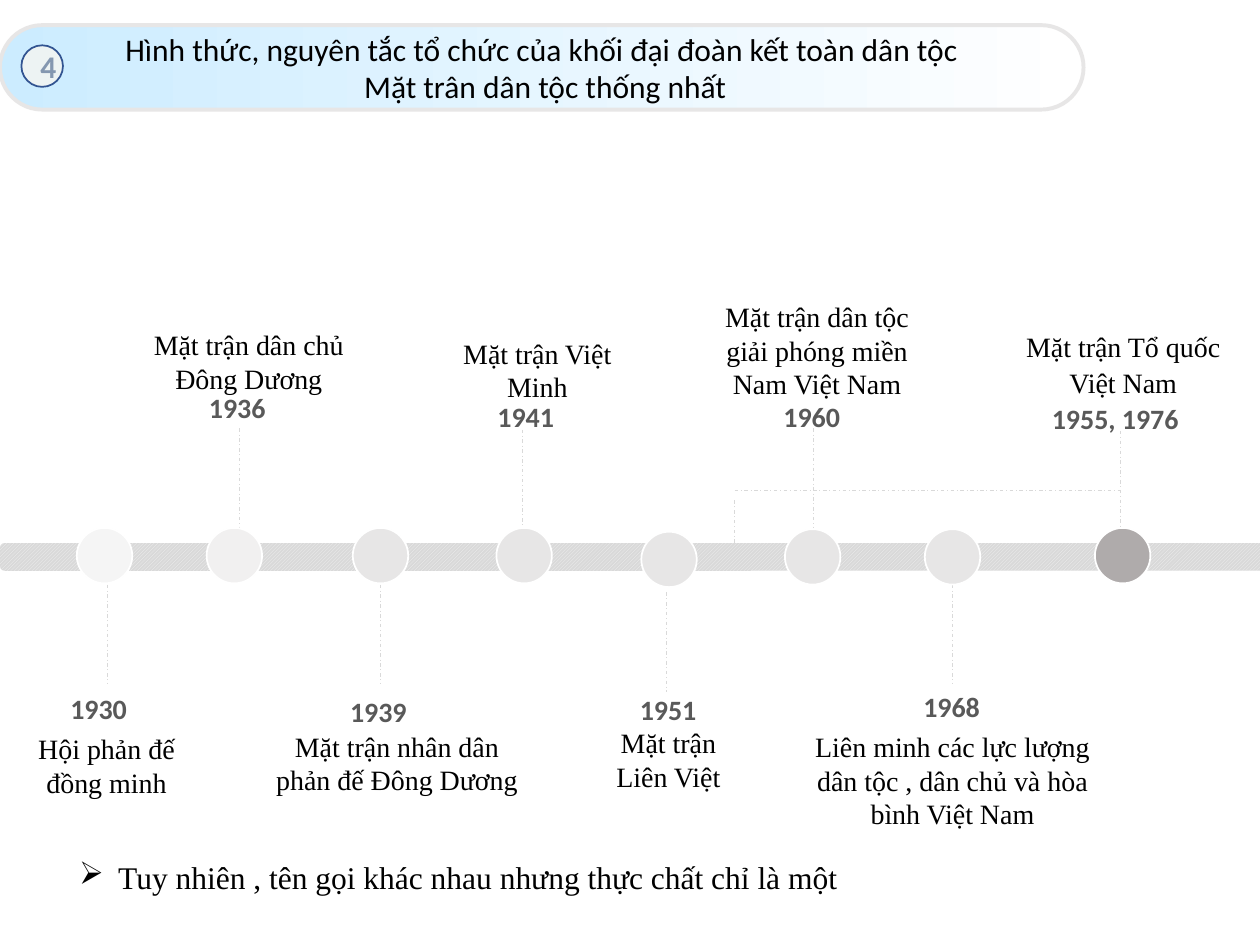
from lxml import etree
from pptx import Presentation
from pptx import util as u
from pptx.dml import color
from pptx.enum import dml, shapes, text
from pptx.oxml import ns

COLS, ROWS = 100, 75
SERIF, SANS = "Times New Roman", "Calibri"


def rgb(code):
    return color.RGBColor.from_string(code)


class Deck:
    black, gray, pale = "000000", "595959", "D9D9D9"

    def __init__(self):
        self.prs = Presentation()
        self.prs.slide_width, self.prs.slide_height = u.Inches(10), u.Inches(7.5)
        self.slide = self.prs.slides.add_slide(self.prs.slide_layouts[6])
        self.shapes = self.slide.shapes

    def box(self, *nums):
        col = self.prs.slide_width / COLS
        row = self.prs.slide_height / ROWS
        return [round(n * (col, row)[i % 2]) for i, n in enumerate(nums)]

    def shape(self, kind, at, fill=None, edge=None, width=1):
        item = self.shapes.add_shape(kind, *self.box(*at))
        item.shadow.inherit = False
        if fill:
            item.fill.solid()
            item.fill.fore_color.rgb = rgb(fill)
        if edge:
            item.line.color.rgb = rgb(edge)
            item.line.width = u.Pt(width)
        else:
            item.line.fill.background()
        return item

    def disc(self, at, fill, edge="FFFFFF"):
        return self.shape(shapes.MSO_SHAPE.OVAL, at, fill, edge)

    def bar(self, at):
        item = self.shape(shapes.MSO_SHAPE.ROUNDED_RECTANGLE, at)
        item.fill.patterned()
        item.fill.pattern = dml.MSO_PATTERN.DARK_UPWARD_DIAGONAL
        item.fill.fore_color.rgb = rgb("F2F2F2")
        item.fill.back_color.rgb = rgb(self.pale)

    def pill(self, at, lines):
        item = self.shape(shapes.MSO_SHAPE.ROUNDED_RECTANGLE, at,
                          edge="E7E6E6", width=2.25)
        item.adjustments[0] = 0.5
        item.fill.gradient()
        item.fill.gradient_angle = 0
        for stop, code, pos in zip(item.fill.gradient_stops,
                                   ("CCECFF", "FFFFFF"), (0, 1)):
            stop.color.rgb, stop.position = rgb(code), pos
        self.put(item, lines, SANS, 18, mid=True)
        item.text_frame.word_wrap = False

    def put(self, item, lines, font, size, code=black, bold=False, mid=False):
        frame = item.text_frame
        frame.word_wrap = True
        frame.text = lines
        if mid:
            frame.vertical_anchor = text.MSO_ANCHOR.MIDDLE
        for para in frame.paragraphs:
            para.alignment = text.PP_ALIGN.CENTER if mid else text.PP_ALIGN.LEFT
            para.font.name, para.font.size = font, u.Pt(size)
            para.font.bold, para.font.color.rgb = bold, rgb(code)
        return frame

    def label(self, at, words, font=SERIF, size=16, code=black, bold=False,
              mid=True):
        item = self.shapes.add_textbox(*self.box(*at))
        frame = self.put(item, words, font, size, code, bold, mid)
        frame.vertical_anchor = text.MSO_ANCHOR.TOP
        return frame.paragraphs[0]

    def bullet(self, at, words):
        props = self.label(at, words, size=18, mid=False)._p.get_or_add_pPr()
        props.set("marL", str(u.Inches(0.31)))
        props.set("indent", str(-u.Inches(0.31)))
        etree.SubElement(props, ns.qn("a:buChar"), char="➢")
        props.append(props.find(ns.qn("a:defRPr")))

    def line(self, *ends):
        item = self.shapes.add_connector(shapes.MSO_CONNECTOR.STRAIGHT,
                                         *self.box(*ends))
        item.line.color.rgb = rgb(self.pale)
        item.line.width = u.Pt(0.5)
        item.line.dash_style = dml.MSO_LINE.DASH_DOT
        etree.SubElement(item._element.spPr, ns.qn("a:effectLst"))


DOTS = [(6.1, 41.9, "F5F5F5"), (16.4, 41.9, "F1F0F0"), (28, 41.9, "E7E6E6"),
        (39.4, 41.9, "E7E6E6"), (50.9, 42.2, "E7E6E6"), (62.3, 42, "E7E6E6"),
        (73.4, 42, "E7E6E6"), (86.9, 41.9, "AFABAB")]
STEMS = [(8.5, 46.4), (19, 34), (30.2, 46.4), (41.5, 34.1),
         (52.9, 47), (64.6, 34), (75.6, 46.4), (88.9, 34.2)]
YEARS = [("1930", 4.6, 54.4), ("1936", 15.6, 30.5), ("1939", 26.8, 54.6),
         ("1941", 38.5, 31.2), ("1951", 49.8, 54.5), ("1960", 61.2, 31.2),
         ("1968", 72.3, 54.2), ("1955, 1976", 82.5, 31.4)]
NAMES = [("Hội phản đế đồng minh", 1.2, 57.6, 14.5, 6.6),
         ("Mặt trận dân chủ Đông Dương", 10.6, 25.5, 18.3, 6.6),
         ("Mặt trận nhân dân phản đế Đông Dương", 20.9, 57.4, 21.2, 6.4),
         ("Mặt trận Việt Minh", 33.5, 26.2, 18.3, 6.4),
         ("Mặt trận Liên Việt", 46.2, 57.1, 13.7, 6.4),
         ("Mặt trận dân tộc giải phóng miền Nam Việt Nam",
          55.7, 23.3, 18.3, 9.1),
         ("Liên minh các lực lượng dân tộc , dân chủ và hòa bình Việt Nam",
          63.6, 57.4, 24, 9.1)]


def main():
    deck = Deck()
    deck.bar((0, 43.1, 117.8, 2.2))
    for x, y in STEMS:
        deck.line(x, y, x, y + 7.9)
    deck.line(58.3, 43.1, 58.3, 39.7)
    deck.line(58.3, 38.9, 88.9, 38.9)
    for x, y, code in DOTS:
        deck.disc((x, y, 4.4, 4.4), code)
    for year, x, y in YEARS:
        wide = 6.7 if len(year) == 4 else 14
        deck.label((x, y, wide, 3.7), year, SANS, code=deck.gray, bold=True,
                   mid=False)
    for name, *at in NAMES:
        deck.label(at, name)
    last = deck.label((80, 25.5, 18.3, 6.6), "Mặt trận Tổ quốc Việt Nam")
    last.line_spacing, last.space_after = 1.07, u.Pt(8)
    deck.bullet((5.3, 67.6, 80.6, 4),
                "Tuy nhiên , tên gọi khác nhau nhưng thực chất chỉ là một")
    deck.pill((0, 2, 86, 6.7),
              "Hình thức, nguyên tắc tổ chức của khối đại đoàn kết toàn dân tộc"
              "\n Mặt trân dân tộc thống nhất")
    badge = deck.disc((1.7, 3.6, 3.3, 3.3), "EDF3F3", "325491")
    frame = deck.put(badge, "4", SANS, 18, "8497B0", True, True)
    frame.margin_right = frame.margin_top = frame.margin_bottom = 0
    deck.prs.save("out.pptx")


if __name__ == "__main__":
    main()
